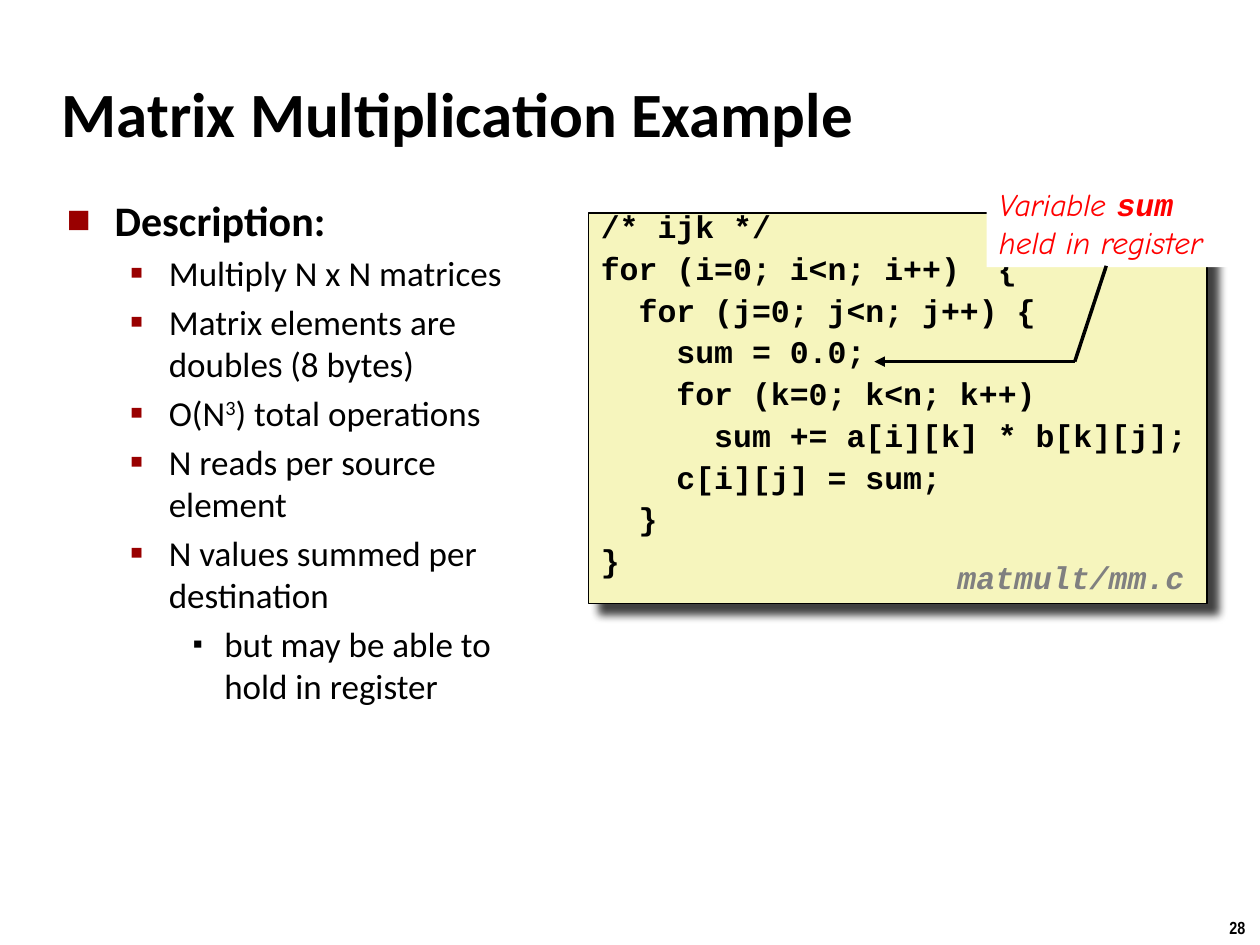
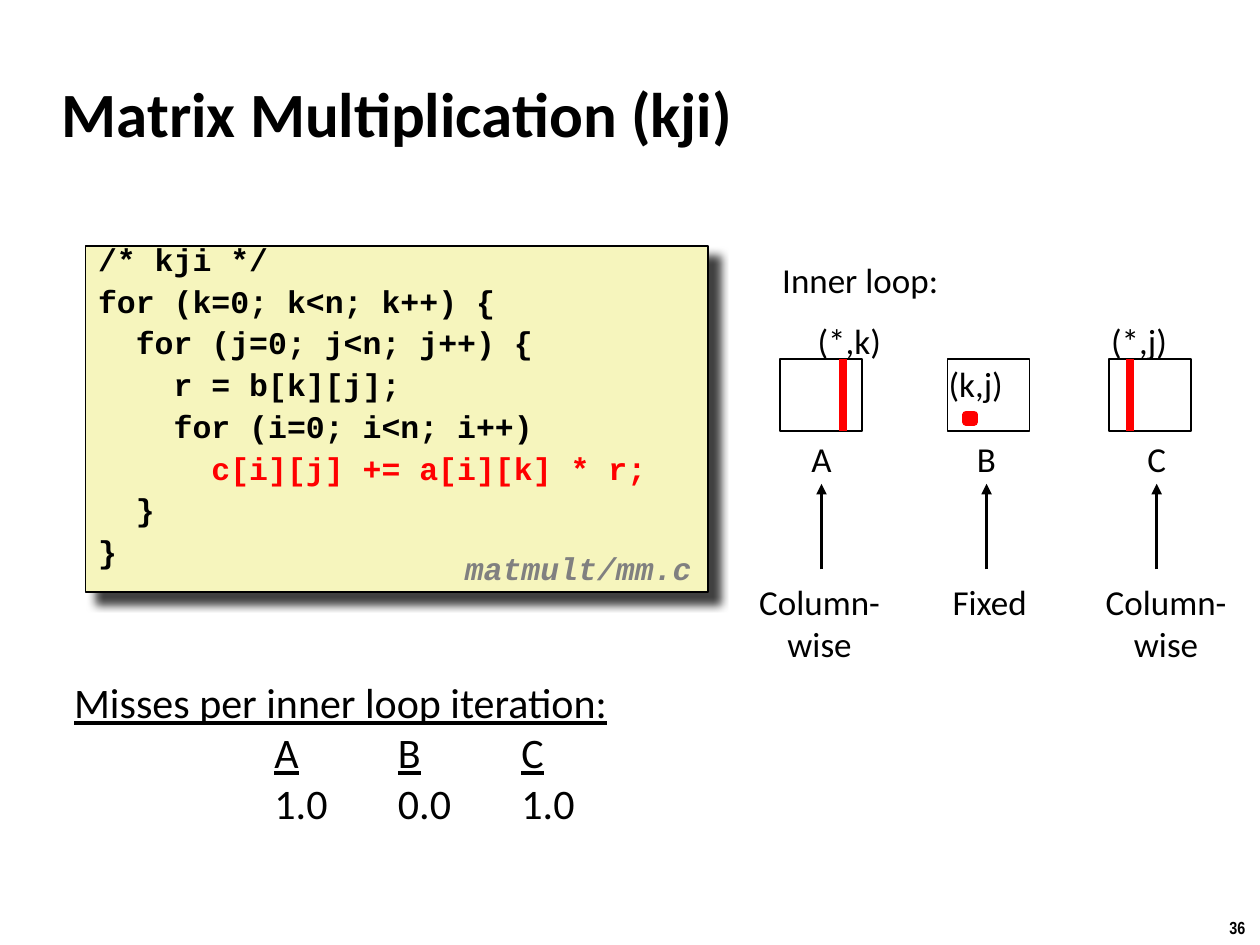
from lxml.etree import SubElement
from pptx import Presentation
from pptx.dml.color import RGBColor
from pptx.enum.shapes import MSO_CONNECTOR, MSO_SHAPE
from pptx.enum.text import MSO_ANCHOR, MSO_AUTO_SIZE, PP_ALIGN
from pptx.oxml.ns import qn
from pptx.util import Inches, Pt

COLUMNS, ROWS = 100, 75
WIDTH, HEIGHT = Inches(10), Inches(7.5)

BLACK, WHITE, RED, GRAY = "000000", "FFFFFF", "FF0000", "808080"
CRIMSON, CREAM = "990000", "F6F5BD"

TITLE = dict(name="Calibri", size=36, bold=True, color=BLACK)
NUMBER = dict(name="Arial Narrow", size=10, bold=True, color=BLACK)
CODE = dict(name="Courier New", size=18, bold=True, color=BLACK)
FILE = {**CODE, "italic": True, "color": GRAY}
NOTE = dict(name="Comic Neue", size=18, italic=True, color=RED)
LABEL = dict(name="Calibri", size=20, color=BLACK)
MISSES = {**LABEL, "size": 24}
UNDERLINED = dict(underline=True)

TITLE_AREA = (3.9, 4.8, 83, 8.3)
NUMBER_AREA = (96.6, 72.3, 3.4, 2.7)
FILE_NAME = "matmult/mm.c"
FILE_SIZE = (20.8, 3.9)

LEVELS = [
    dict(margin=0.38, hang=0.38, bullet="■", color=CRIMSON, percent=60, before=4.8,
         format={**LABEL, "size": 24, "bold": True}),
    dict(margin=0.81, hang=0.31, bullet="▪", color=CRIMSON, percent=110, before=4, format=LABEL),
    dict(margin=1.25, hang=0.25, bullet="▪", color=BLACK, percent=80, before=4, format=LABEL),
]

EXAMPLE = dict(
    title="Matrix Multiplication Example",
    number="28",
    code_area=(46.7, 16.9, 49.1, 31),
    file_at=(75, 44),
    code=[
        "/* ijk */",
        "for (i=0; i<n; i++)  {",
        "  for (j=0; j<n; j++) {",
        "    sum = 0.0;",
        "    for (k=0; k<n; k++)",
        "      sum += a[i][k] * b[k][j];",
        "    c[i][j] = sum;",
        "  }",
        "}",
    ],
)
DESCRIPTION_AREA = (4.3, 14.9, 39.8, 54.4)
DESCRIPTION = [
    (0, ["Description:"]),
    (1, ["Multiply N x N matrices"]),
    (1, ["Matrix elements are double", ("s", dict(name="Arial Narrow")), " (8 bytes)"]),
    (1, ["O(N", ("3", dict(baseline=30000)), ") total operations"]),
    (1, ["N reads per source element"]),
    (1, ["N values summed per destination"]),
    (2, ["but may be able to hold in register"]),
]
NOTE_AREA = (78.3, 14.2, 20.5, 7)
NOTE_LINES = [
    ["Variable ", ("sum", dict(name="Courier New", bold=True))],
    ["held in register"],
]
NOTE_START, NOTE_ELBOW, NOTE_TARGET = (87.8, 21.1), (85.3, 28.7), (69.4, 28.7)

KJI = dict(
    title="Matrix Multiplication (kji)",
    number="36",
    code_area=(6.8, 19.5, 49.4, 27.5),
    file_at=(35.9, 43.3),
    code=[
        "/* kji */",
        "for (k=0; k<n; k++) {",
        "  for (j=0; j<n; j++) {",
        "    r = b[k][j];",
        "    for (i=0; i<n; i++)",
        ["      ", ("c[i][j] += a[i][k] * r;", dict(color=RED))],
        "  }",
        "}",
    ],
)
LOOP_HEADING = ("Inner loop:", (61.1, 20, 14.5, 4.3))
MATRIX_TOP, MATRIX_SIZE = 28.5, (6.5, 5.7)
NAME_TOP, ARROW_START, ACCESS_TOP = 34.2, 45.2, 45.6
MATRICES = [
    dict(name="A", left=61.9, center=65.2, stripe=66.9, index="(*,k)",
         index_area=(63.9, 24.9, 7.1, 4.3), access=["Column-", "wise"], access_center=65.05),
    dict(name="B", left=75.2, center=78.3, dot=(76.7, 32.9, 0.6, 0.6), index="(k,j)",
         index_area=(74.3, 28.3, 6.3, 4.3), access=["Fixed"], access_center=78.55),
    dict(name="C", left=88, center=91.8, stripe=89.7, index="(*,j)",
         index_area=(87.2, 24.9, 6.5, 4.3), access=["Column-", "wise"], access_center=92.55),
]
MISSES_AREA = (4.9, 53.2, 54.3, 13.4)
MISSES_TABS = [1.59 + 0.98 * column for column in range(3)]
MISSES_LINES = [
    [("Misses per inner loop iteration:", UNDERLINED)],
    ["\t", ("A", UNDERLINED), "\t", ("B", UNDERLINED), "\t", ("C", UNDERLINED)],
    ["\t1.0\t0.0\t1.0"],
]


def rgb(value):
    return RGBColor.from_string(value)


def point(column, row):
    return int(WIDTH * column / COLUMNS), int(HEIGHT * row / ROWS)


def area(left, top, width, height):
    return (*point(left, top), *point(width, height))


def format_span(span, values):
    for key, value in values.items():
        if key == "color":
            span.font.color.rgb = rgb(value)
        elif key == "size":
            span.font.size = Pt(value)
        elif key == "baseline":
            span._r.get_or_add_rPr().set("baseline", str(value))
        else:
            setattr(span.font, key, value)


def fill_para(para, pieces, values):
    for piece in [pieces] if isinstance(pieces, str) else pieces:
        text, changes = (piece, {}) if isinstance(piece, str) else piece
        span = para.add_run()
        span.text = text
        format_span(span, {**values, **changes})


def add_paras(frame, lines):
    for position, line in enumerate(lines):
        yield (frame.add_paragraph() if position else frame.paragraphs[0]), line


def write(frame, lines, values, before=0, wrap=False, **layout):
    frame.word_wrap = wrap
    frame.vertical_anchor = MSO_ANCHOR.TOP
    for position, (para, line) in enumerate(add_paras(frame, lines)):
        settings = {"alignment": PP_ALIGN.LEFT, "space_before": Pt(before if position else 0), **layout}
        for key, value in settings.items():
            setattr(para, key, value)
        fill_para(para, line, values)


def add_text(page, place, lines, values, **layout):
    box = page.shapes.add_textbox(*area(*place))
    write(box.text_frame, lines, values, **layout)
    return box


def add_box(page, place, fill, line=None, weight=1):
    box = page.shapes.add_shape(MSO_SHAPE.RECTANGLE, *area(*place))
    box.shadow.inherit = False
    box.fill.solid()
    box.fill.fore_color.rgb = rgb(fill)
    if line:
        box.line.color.rgb = rgb(line)
        box.line.width = Pt(weight)
    else:
        box.line.fill.background()
    return box


def add_line(page, start, end, color=BLACK, weight=2, arrow=False):
    line = page.shapes.add_connector(MSO_CONNECTOR.STRAIGHT, *point(*start), *point(*end))
    line.line.color.rgb = rgb(color)
    line.line.width = Pt(weight)
    if arrow:
        SubElement(line.line._get_or_add_ln(), qn("a:tailEnd"), type="triangle")
    SubElement(line._element.spPr, qn("a:effectLst"))
    return line


def add_shadow(box):
    effects = box._element.spPr.find(qn("a:effectLst"))
    shadow = SubElement(effects, qn("a:outerShdw"), blurRad=str(Pt(5)), dist=str(Pt(8.5)),
                        dir=str(45 * 60000), algn="tl", rotWithShape="0")
    color = SubElement(shadow, qn("a:srgbClr"), val=BLACK)
    SubElement(color, qn("a:alpha"), val="75000")


def add_bullet(para, level):
    properties = para._p.get_or_add_pPr()
    properties.set("marL", str(Inches(level["margin"])))
    properties.set("indent", str(-Inches(level["hang"])))
    color = SubElement(properties, qn("a:buClr"))
    SubElement(color, qn("a:srgbClr"), val=level["color"])
    SubElement(properties, qn("a:buSzPct"), val=str(level["percent"] * 1000))
    SubElement(properties, qn("a:buFont"), typeface="Calibri")
    SubElement(properties, qn("a:buChar"), char=level["bullet"])


def add_tabs(para, stops):
    tabs = SubElement(para._p.get_or_add_pPr(), qn("a:tabLst"))
    for stop in stops:
        SubElement(tabs, qn("a:tab"), pos=str(Inches(stop)), algn="l")


def move(holder, place):
    holder.left, holder.top, holder.width, holder.height = area(*place)
    holder.text_frame.auto_size = MSO_AUTO_SIZE.NONE


def add_page(deck, layout, content):
    page = deck.slides.add_slide(deck.slide_layouts[layout])
    title = page.shapes.title
    move(title, TITLE_AREA)
    write(title.text_frame, [content["title"]], TITLE, wrap=True)
    title.text_frame.vertical_anchor = MSO_ANCHOR.MIDDLE
    add_text(page, NUMBER_AREA, [content["number"]], NUMBER)
    box = add_box(page, content["code_area"], CREAM, BLACK)
    add_shadow(box)
    write(box.text_frame, content["code"], CODE, before=9.8, wrap=True, line_spacing=0.65)
    add_text(page, (*content["file_at"], *FILE_SIZE), [FILE_NAME], FILE, line_spacing=0.94)
    return page


def build_example(deck):
    page = add_page(deck, 1, EXAMPLE)
    body = page.placeholders[1]
    move(body, DESCRIPTION_AREA)
    for position, (para, (depth, pieces)) in enumerate(add_paras(body.text_frame, DESCRIPTION)):
        level = LEVELS[depth]
        para.level = depth
        add_bullet(para, level)
        para.space_before = Pt(level["before"] if position else 0)
        fill_para(para, pieces, level["format"])
    note = add_box(page, NOTE_AREA, WHITE)
    write(note.text_frame, NOTE_LINES, NOTE)
    add_line(page, NOTE_START, NOTE_ELBOW)
    add_line(page, NOTE_ELBOW, NOTE_TARGET, arrow=True)


def add_matrix(page, matrix):
    add_box(page, (matrix["left"], MATRIX_TOP, *MATRIX_SIZE), WHITE, BLACK)
    if "stripe" in matrix:
        bottom = MATRIX_TOP + MATRIX_SIZE[1]
        add_line(page, (matrix["stripe"], bottom), (matrix["stripe"], MATRIX_TOP), RED, 4.5)
    else:
        add_box(page, matrix["dot"], BLACK, RED, 4.5)
    add_text(page, matrix["index_area"], [matrix["index"]], LABEL)
    center = matrix["center"]
    name = add_text(page, (center - 1.8, NAME_TOP, 3.6, 4.2), [matrix["name"]], LABEL,
                    alignment=PP_ALIGN.CENTER)
    arrow = add_line(page, (center, ARROW_START), (center, NAME_TOP + 4.2), arrow=True)
    arrow.end_connect(name, 2)
    access = matrix["access"]
    add_text(page, (matrix["access_center"] - 5.85, ACCESS_TOP, 11.7, 0.9 + 3.4 * len(access)),
             access, LABEL, alignment=PP_ALIGN.CENTER)


def build_kji(deck):
    page = add_page(deck, 5, KJI)
    heading, place = LOOP_HEADING
    add_text(page, place, [heading], LABEL)
    for matrix in MATRICES:
        add_matrix(page, matrix)
    misses = add_text(page, MISSES_AREA, MISSES_LINES, MISSES, wrap=True)
    for para in misses.text_frame.paragraphs[1:]:
        add_tabs(para, MISSES_TABS)


def main():
    deck = Presentation()
    deck.slide_width, deck.slide_height = WIDTH, HEIGHT
    build_example(deck)
    build_kji(deck)
    deck.save("out.pptx")


if __name__ == "__main__":
    main()
